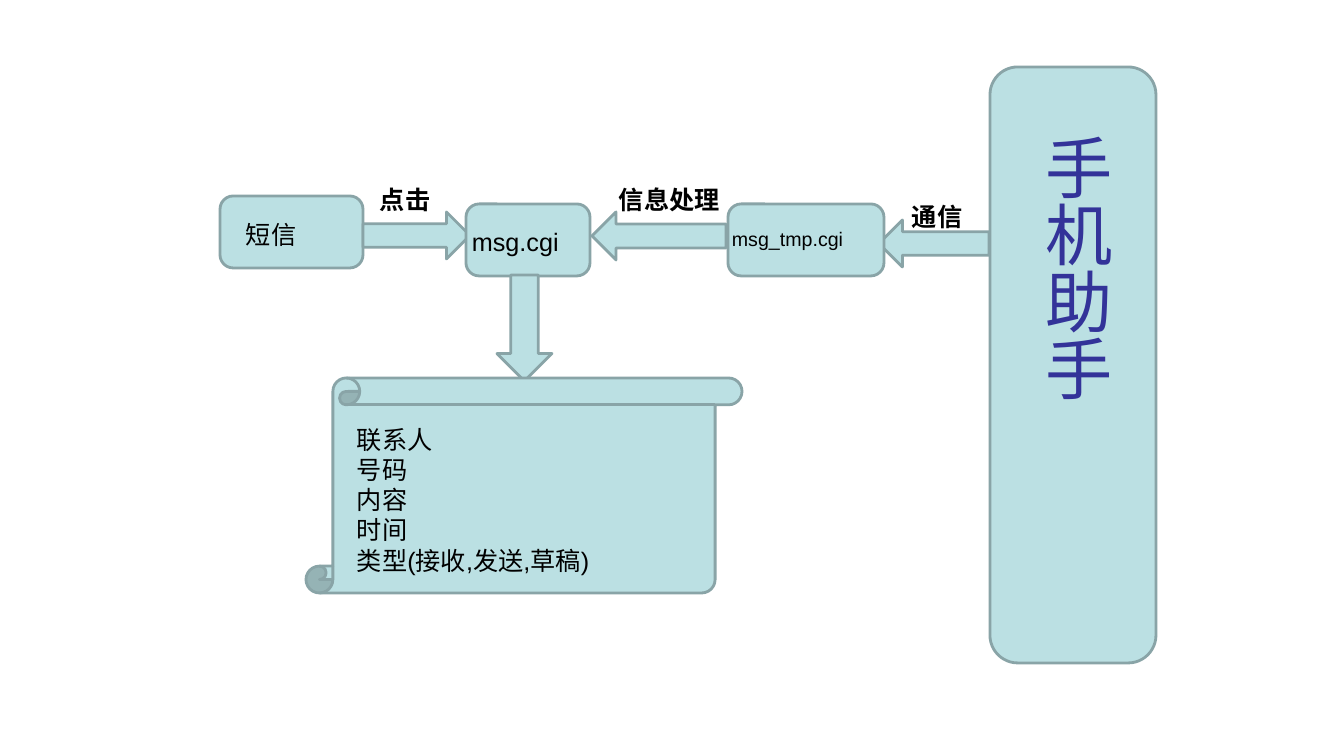
from pptx import Presentation
from pptx import util as u
from pptx.dml.color import RGBColor
from pptx.enum import shapes, text

FILL, OUTLINE, BLACK, BLUE = "BBE0E3", "89A4A7", "000000", "333399"
SHAPE = shapes.MSO_SHAPE
PX_PER_INCH = 100.8

# Back to front: kind, (left, top, width, height) in px, first adjustment
# Each shape is followed by its label: lines, box in px, size, bold
DIAGRAM = [
    ((SHAPE.ROUNDED_RECTANGLE, (990, 67, 166, 596), 0.167),
     (["手机助手"], (1021, 124, 101, 468), 48, False)),
    ((SHAPE.ROUNDED_RECTANGLE, (220, 196, 143, 72), 0.183),
     (["短信"], (236, 214, 111, 40), 18, False)),
    ((SHAPE.RIGHT_ARROW, (363, 212, 107, 47), 0.5),
     (["点击"], (370, 179, 120, 40), 18, True)),
    ((SHAPE.ROUNDED_RECTANGLE, (466, 204, 124, 72), 0.183),
     (["msg.cgi"], (462, 221, 140, 40), 18, False)),
    ((SHAPE.LEFT_ARROW, (879, 220, 110, 47), 0.5),
     (["通信"], (902, 196, 89, 40), 18, True)),
    ((SHAPE.ROUNDED_RECTANGLE, (728, 204, 156, 72), 0.183),
     (["msg_tmp.cgi"], (722, 222, 147, 33), 14, False)),
    ((SHAPE.LEFT_ARROW, (592, 212, 134, 48), 0.5),
     (["信息处理"], (609, 179, 135, 40), 18, True)),
    ((SHAPE.DOWN_ARROW, (497, 275, 55, 106), 0.5), None),
    ((SHAPE.VERTICAL_SCROLL, (306, 378, 436, 215), 0.125),
     (["联系人", "号码", "内容", "时间", "类型(接收,发送,草稿)"],
      (347, 419, 342, 161), 18, False)),
]


def px(value):
    return u.Inches(value / PX_PER_INCH)


def color(hex_string):
    return RGBColor.from_string(hex_string)


def add_block(slide, kind, box, adjustment):
    shape = slide.shapes.add_shape(kind, *map(px, box))
    shape.adjustments[0] = adjustment
    shape.shadow.inherit = False
    shape.fill.solid()
    shape.fill.fore_color.rgb = color(FILL)
    shape.line.color.rgb = color(OUTLINE)
    shape.line.width = u.Pt(2)


def add_label(slide, lines, box, size, bold):
    frame = slide.shapes.add_textbox(*map(px, box)).text_frame
    frame.word_wrap = True
    frame.auto_size = text.MSO_AUTO_SIZE.SHAPE_TO_FIT_TEXT
    frame.text = "\n".join(lines)
    for paragraph in frame.paragraphs:
        paragraph.font.name = "Arial"
        paragraph.font.size = u.Pt(size)
        paragraph.font.bold = bold
        paragraph.font.color.rgb = color(BLACK)
    return frame


def set_vertical(frame):
    """Stack the characters from top to bottom, in blue."""
    frame._txBody.bodyPr.set("vert", "eaVert")
    paragraph = frame.paragraphs[0]
    paragraph.alignment = text.PP_ALIGN.CENTER
    paragraph.font.color.rgb = color(BLUE)


def main():
    presentation = Presentation()
    presentation.slide_width = px(1344)
    presentation.slide_height = px(756)
    slide = presentation.slides.add_slide(presentation.slide_layouts[6])
    for block, label in DIAGRAM:
        add_block(slide, *block)
        if label:
            frame = add_label(slide, *label)
            if label[0] == ["手机助手"]:
                set_vertical(frame)
    presentation.save("out.pptx")


if __name__ == "__main__":
    main()
